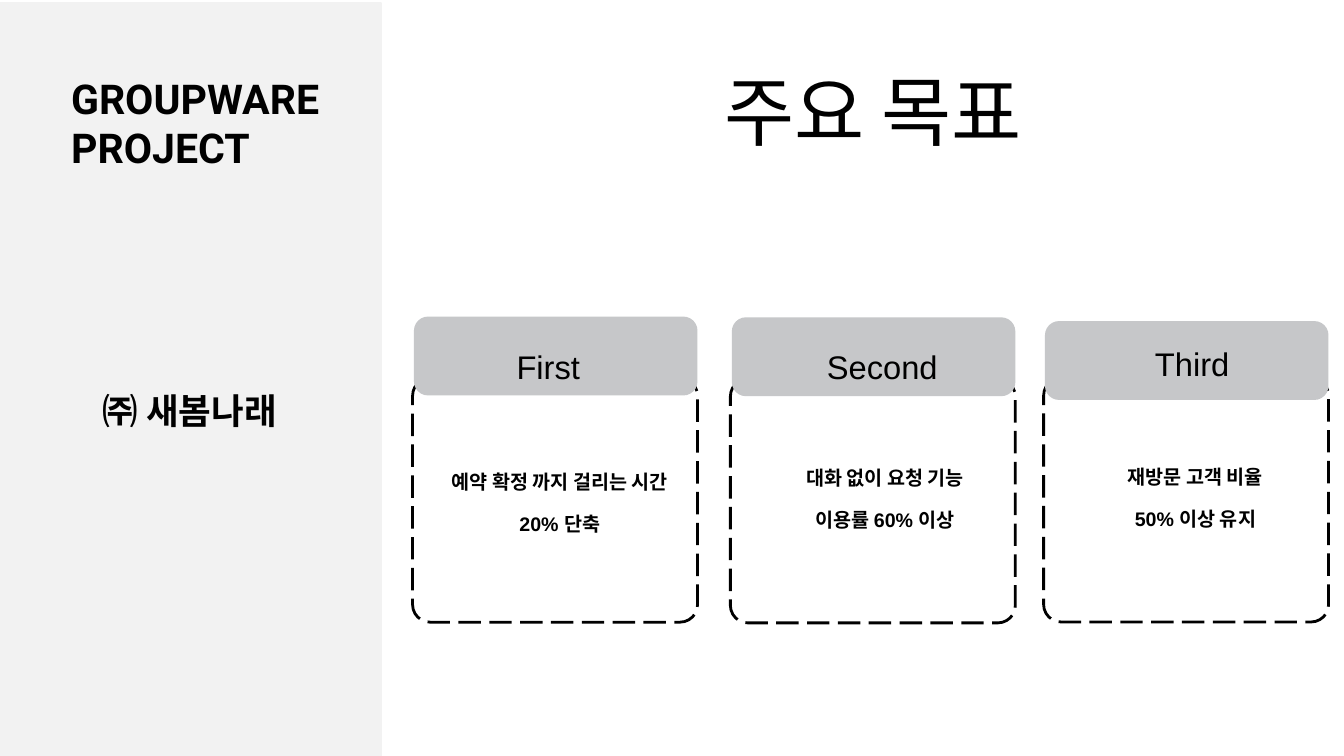
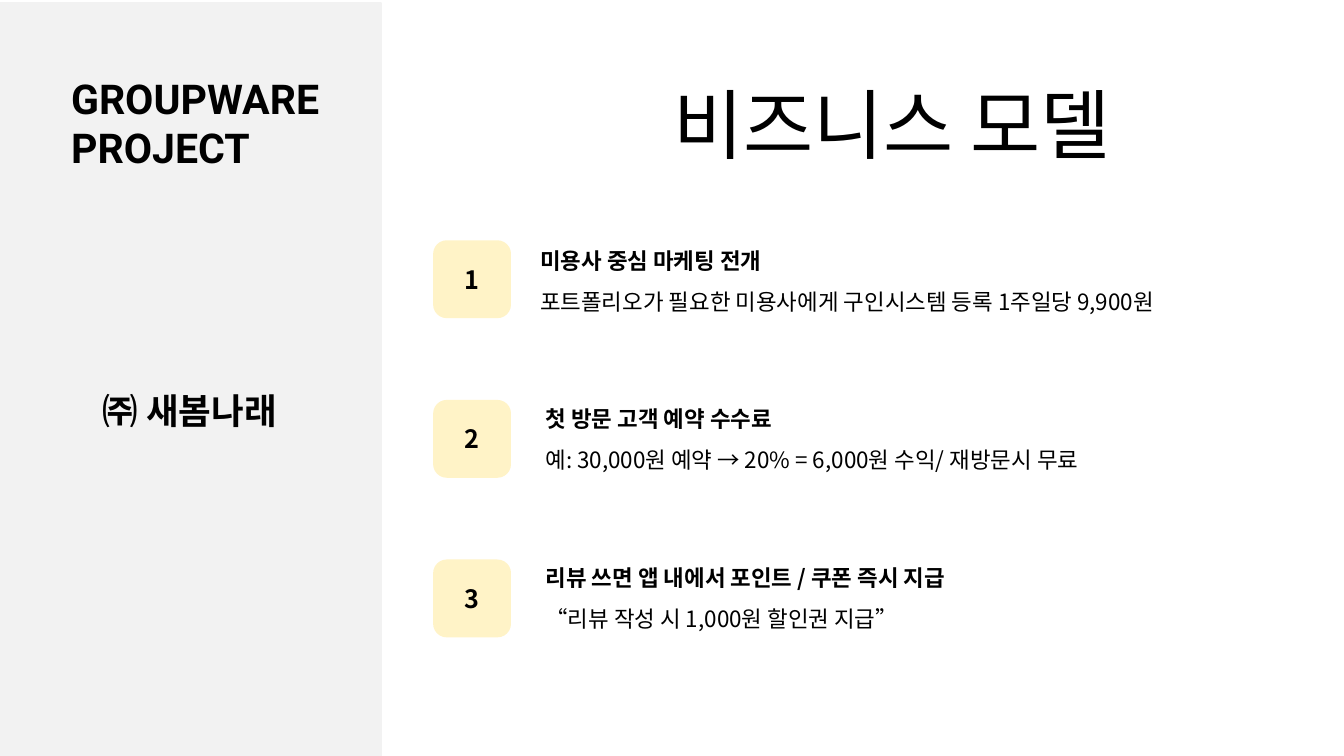
from lxml.etree import SubElement
from pptx import Presentation
from pptx.dml.color import RGBColor
from pptx.enum.dml import MSO_LINE
from pptx.enum.shapes import MSO_SHAPE as Kind
from pptx.enum.text import MSO_ANCHOR as Anchor
from pptx.enum.text import MSO_AUTO_SIZE as Fit
from pptx.enum.text import PP_ALIGN as Align
from pptx.oxml.ns import qn
from pptx.util import Pt

# Colours and fonts
BLACK = RGBColor(0x00, 0x00, 0x00)
WHITE = RGBColor(0xFF, 0xFF, 0xFF)
PANEL = RGBColor(0xF2, 0xF2, 0xF2)
GREY = RGBColor(0xC6, 0xC7, 0xC9)
CREAM = RGBColor(0xFF, 0xF3, 0xC7)
NOTO = "Noto Sans CJK KR"

# Goal cards: label, body lines, then the corners of box, tab, label and body
GOALS = [
    ("Third", ["재방문 고객 비율", "50% 이상 유지"],
     (1118.2, 405), (1119.6, 344), (995.8, 337.7), (1128.2, 478.8)),
    ("Second", ["대화 없이 요청 기능", "이용률 60% 이상"],
     (782.6, 406), (784.1, 340), (663.8, 341.3), (795.6, 479.5)),
    ("First", ["예약 확정 까지 걸리는 시간", "20% 단축"],
     (442.1, 405.2), (443.5, 339.2), (306, 340.6), (447.1, 483.8)),
]

# Business model: left edge of the text, heading, detail, detail width
MODEL = [
    (571.7, "미용사 중심 마케팅 전개",
     "포트폴리오가 필요한 미용사에게 구인시스템 등록 1주일당 9,900원", 723),
    (577.4, "첫 방문 고객 예약 수수료",
     "예: 30,000원 예약 → 20% = 6,000원 수익/ 재방문시 무료", 798),
    (577.4, "리뷰 쓰면 앱 내에서 포인트 / 쿠폰 즉시 지급",
     "“리뷰 작성 시 1,000원 할인권 지급”", 723),
]


def write(frame, lines, size, font="Arial", bold=False, align=Align.LEFT,
          gap=None, anchor=Anchor.TOP):
    frame.word_wrap = True
    frame.vertical_anchor = anchor
    for i, line in enumerate(lines):
        para = frame.add_paragraph() if i else frame.paragraphs[0]
        para.alignment = align
        if gap:
            para.line_spacing = gap
        run = para.add_run()
        run.text = line
        run.font.size = Pt(size)
        run.font.bold = bold
        run.font.color.rgb = BLACK
        run.font.name = font
        # Hangul takes the East Asian face
        SubElement(run.font._element, qn("a:ea"), typeface=NOTO)


def label(slide, x, y, w, h, lines, size, inset=True, grow=True, **style):
    frame = slide.shapes.add_textbox(Pt(x), Pt(y), Pt(w), Pt(h)).text_frame
    if not inset:
        frame.margin_left = frame.margin_right = 0
        frame.margin_top = frame.margin_bottom = 0
    write(frame, lines, size, **style)
    frame.auto_size = Fit.SHAPE_TO_FIT_TEXT if grow else Fit.NONE


def block(slide, kind, x, y, w, h, fill, line=None, width=2, radius=None):
    shape = slide.shapes.add_shape(kind, Pt(x), Pt(y), Pt(w), Pt(h))
    shape.shadow.inherit = False
    shape.fill.solid()
    shape.fill.fore_color.rgb = fill
    if line is None:
        shape.line.fill.background()
    else:
        shape.line.color.rgb = line
        shape.line.width = Pt(width)
    if radius:
        shape.adjustments[0] = radius / min(w, h)
    return shape


def page(deck, title, x, y, w, font):
    """Blank slide with the side panel and a title."""
    slide = deck.slides.add_slide(deck.slide_layouts[6])
    block(slide, Kind.RECTANGLE, 0, 2.9, 408.2, 807.1, PANEL, PANEL)
    label(slide, 69.1, 74.9, 285.1, 104.4, ["GROUPWARE", "PROJECT"], 44,
          grow=False, font="Roboto", bold=True, align=Align.JUSTIFY)
    label(slide, 103, 381.6, 218.2, 92.2, ["㈜ 새봄나래"], 38, grow=False,
          font="Calibri", bold=True, gap=1.5, anchor=Anchor.MIDDLE)
    label(slide, x, y, w, 107.3, [title], 81.7, inset=False,
          font=font, align=Align.CENTER, gap=Pt(114.3))
    return slide


def card(slide, name, lines, box, tab, head, body):
    frame = block(slide, Kind.ROUNDED_RECTANGLE, *box, 305.3, 261.4, WHITE,
                  BLACK, width=3, radius=18.7)
    frame.line.dash_style = MSO_LINE.LONG_DASH
    block(slide, Kind.ROUNDED_RECTANGLE, *tab, 303.8, 84.5, GREY, radius=15.1)
    label(slide, *head, 563, 63.4, [name], 35, inset=False,
          align=Align.CENTER, gap=Pt(72.8))
    label(slide, *body, 305.3, 85, lines, 21, inset=False, bold=True,
          align=Align.CENTER, gap=Pt(44.8))


def item(slide, i, x, head, detail, w):
    badge = block(slide, Kind.ROUNDED_RECTANGLE, 465.1, 258.5 + 171 * i,
                  81.4, 81.4, CREAM, CREAM)
    write(badge.text_frame, [str(i + 1)], 27, font=NOTO, bold=True,
          align=Align.CENTER, anchor=Anchor.MIDDLE)
    y = 260.8 + 170 * i
    label(slide, x, y, 723, 36, [head], 24, font=NOTO, bold=True)
    label(slide, x, y + 44, w, 36, [detail], 24, font=NOTO)


def main():
    deck = Presentation()
    deck.slide_width, deck.slide_height = Pt(1440), Pt(810)

    # Main goals
    goals = page(deck, "주요 목표", 305.3, 52.6, 1260, "Arial")
    for goal in GOALS:
        card(goals, *goal)

    # Business model
    model = page(deck, "비즈니스 모델", 525.6, 67, 860.4, NOTO)
    for i, row in enumerate(MODEL):
        item(model, i, *row)

    deck.save("out.pptx")


if __name__ == "__main__":
    main()
